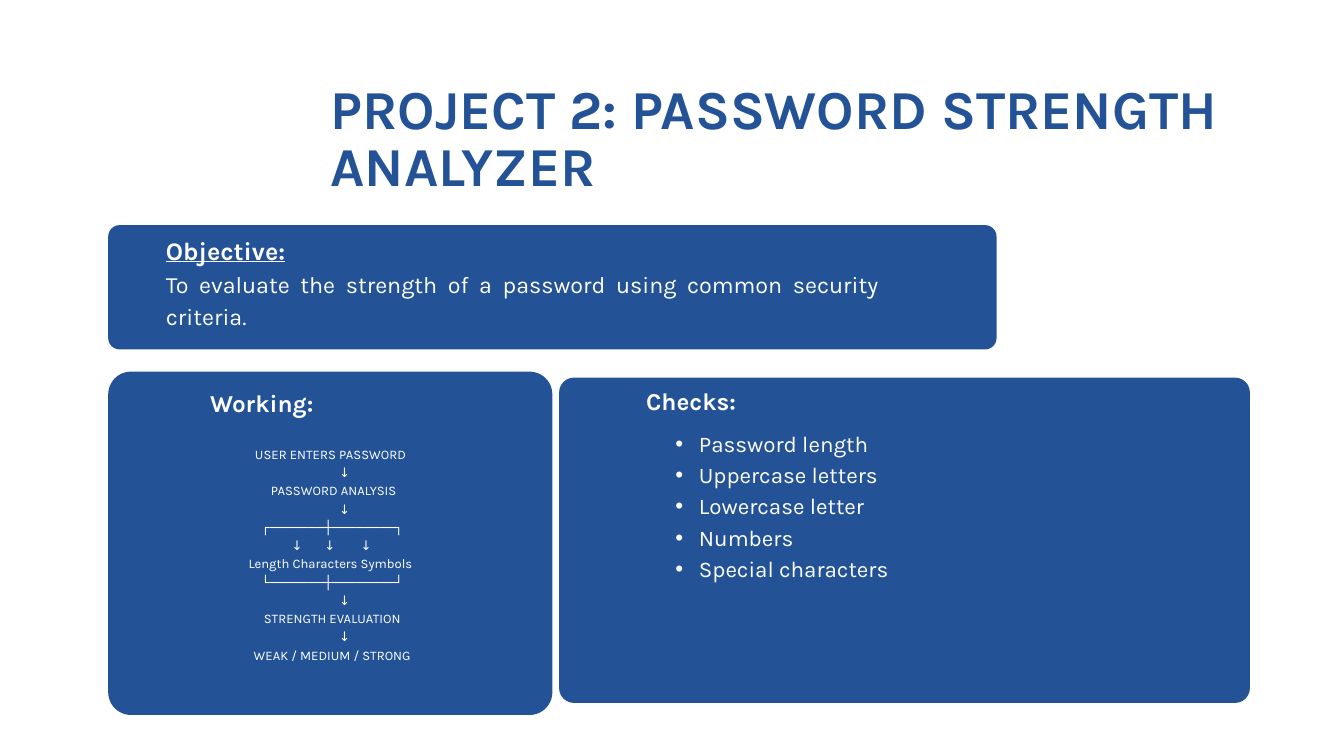
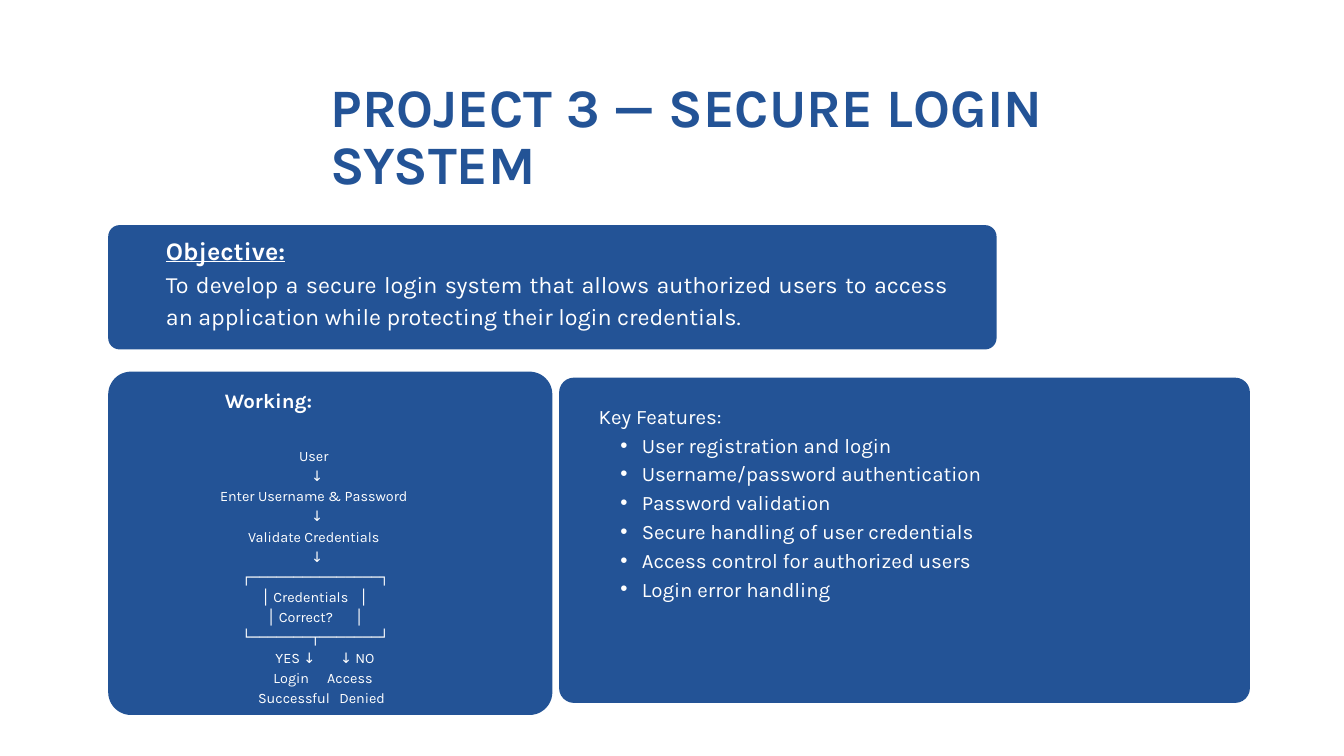
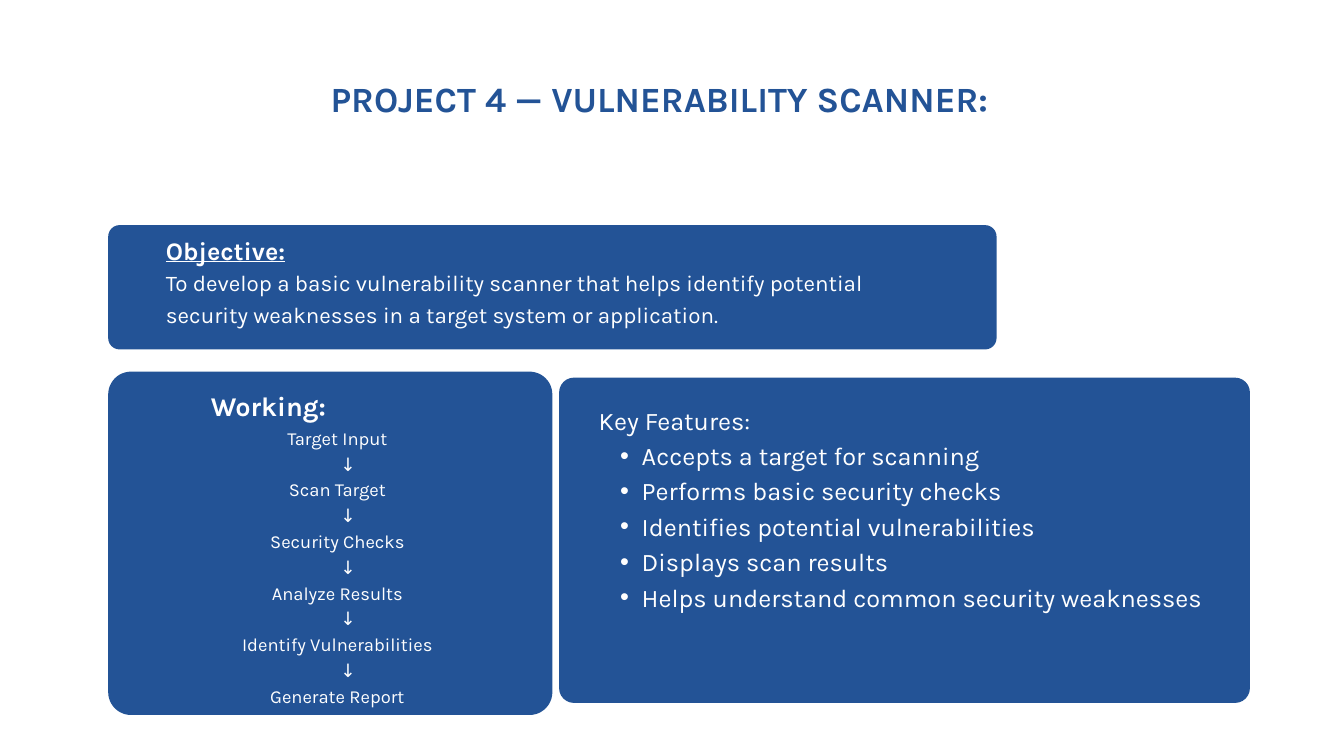
from dataclasses import dataclass

from lxml.etree import SubElement
from pptx import Presentation
from pptx.dml.color import RGBColor
from pptx.enum.shapes import MSO_SHAPE as Shape
from pptx.enum.text import PP_ALIGN as Align
from pptx.oxml.ns import qn
from pptx.util import Inches, Pt


@dataclass(frozen=True)
class Theme:
    blue: RGBColor = RGBColor(0x23, 0x53, 0x96)
    white: RGBColor = RGBColor(0xFF, 0xFF, 0xFF)
    font: str = "Karla"
    tight: float = 1.05
    loose: float = 1.4
    goal: float = 27
    title: tuple = (58.8, 58, 38)
    body: tuple = (25, 25, 24)
    head: tuple = (26, 22, 29)
    flow: tuple = (14, 15.4, 19.7)
    points: tuple = (24, 22, 27.1)


@dataclass(frozen=True)
class Line:
    text: str
    shift: float = 0
    stops: tuple = ()
    mode: str = "l"


CARDS = (
    ((1.61, 3.35, 13.22, 1.85), 0.17),
    ((1.61, 5.53, 6.61, 5.11), 0.34),
    ((8.32, 5.62, 10.28, 4.84), 0.22),
)


class Deck:
    def __init__(self, theme):
        self.theme = theme
        self.show = Presentation()
        self.show.slide_width = Inches(20)
        self.show.slide_height = Inches(11.25)
        self.slide = None
        self.num = -1

    def start(self):
        self.slide = self.show.slides.add_slide(self.show.slide_layouts[6])
        self.num += 1
        for area, curve in CARDS:
            self.card(area, curve)

    def size(self, role):
        return getattr(self.theme, role)[self.num]

    def card(self, area, curve):
        card = self.slide.shapes.add_shape(
            Shape.ROUNDED_RECTANGLE, *map(Inches, area))
        card.adjustments[0] = curve / min(area[2:])
        card.shadow.inherit = False
        card.fill.solid()
        card.fill.fore_color.rgb = self.theme.blue
        card.line.fill.background()

    def frame(self, area):
        frame = self.slide.shapes.add_textbox(*map(Inches, area)).text_frame
        frame.word_wrap = True
        for side in ("left", "top", "right", "bottom"):
            setattr(frame, f"margin_{side}", 0)
        return frame

    def text(self, frame, words, size, align=Align.LEFT, space=None, color=None, **style):
        first = frame.paragraphs[0]
        para = frame.add_paragraph() if first.runs else first
        para.alignment = align
        para.line_spacing = Pt(round(size * (space or self.theme.loose), 1))
        run = para.add_run()
        run.text = words
        run.font.color.rgb = color or self.theme.white
        look = {"name": self.theme.font, "size": Pt(size), **style}
        for name, value in look.items():
            setattr(run.font, name, value)
        return para

    def title(self, words, width, top=1.22):
        frame = self.frame((4.92, top, width, 2.54))
        self.text(frame, words, self.size("title"), space=self.theme.tight,
                  color=self.theme.blue, bold=True)

    def goal(self, words, width, align=Align.JUSTIFY):
        frame = self.frame((2.47, 3.42, width, 1.78))
        self.text(frame, "Objective:", self.theme.goal, bold=True, underline=True)
        self.text(frame, words, self.size("body"), align)

    def head(self, words, area):
        self.text(self.frame(area), words, self.size("head"), Align.CENTER, bold=True)

    def flow(self, area, lines):
        frame = self.frame(area)
        for line in lines:
            align = Align.LEFT if line.stops else Align.CENTER
            para = self.text(frame, line.text, self.size("flow"), align)
            props = para._p.get_or_add_pPr()
            if line.shift:
                props.set("marL", str(Inches(line.shift)))
            if line.stops:
                tabs = SubElement(props, qn("a:tabLst"))
                for stop in line.stops:
                    SubElement(tabs, qn("a:tab"), pos=str(Inches(stop)), algn=line.mode)

    def points(self, area, items, hang, head=None):
        frame = self.frame(area)
        size = self.size("points")
        if head:
            self.text(frame, head, size)
        for item in items:
            para = self.text(frame, item, size)
            para.level = 1
            props = para._p.get_or_add_pPr()
            props.set("marL", str(Inches(2 * hang)))
            props.set("indent", str(-Inches(hang)))
            SubElement(props, qn("a:buFont"), typeface="Arial")
            SubElement(props, qn("a:buChar"), char="•")


def chain(steps, shift):
    lines = [Line(steps[0])]
    for step in steps[1:]:
        lines += [Line("↓", shift), Line(step)]
    return lines


def strength(deck):
    deck.start()
    deck.title("PROJECT 2: PASSWORD STRENGTH ANALYZER", 13.68, 1.23)
    deck.goal("To evaluate the strength of a password using common security "
              "criteria.", 10.6)
    down = Line("↓", 0.42)
    deck.flow((0.77, 6.6, 8.3, 3.79), (
        Line("USER ENTERS PASSWORD"),
        down,
        Line("PASSWORD ANALYSIS", 0.09),
        down,
        Line("┌───────┼────────┐", 0.05),
        Line("\t↓\t↓\t↓", stops=(3.65, 4.14, 4.68), mode="ctr"),
        Line("Length Characters Symbols"),
        Line("└───────┼────────┘", 0.05),
        down,
        Line("STRENGTH EVALUATION", 0.05),
        down,
        Line("WEAK / MEDIUM / STRONG", 0.05),
    ))
    deck.points((9.7, 6.33, 4.41, 3.48), (
        "Password length",
        "Uppercase letters",
        "Lowercase letter",
        "Numbers",
        "Special characters",
    ), 0.35)
    deck.head("Working:", (2.8, 5.7, 2.19, 0.69))
    deck.head("Checks:", (9.28, 5.67, 2.01, 0.72))


def login(deck):
    deck.start()
    deck.title("PROJECT 3 — SECURE LOGIN SYSTEM", 11.62)
    deck.goal("To develop a secure login system that allows authorized users to "
              "access an application while protecting their login credentials.", 11.63)
    steps = ("User", "Enter Username & Password", "Validate Credentials")
    deck.flow((0.77, 6.61, 7.8, 3.86), (
        *chain(steps, 0.1),
        Line("↓", 0.1),
        Line("┌───────────────┐", 0.05),
        Line("\t│ Credentials\t│", stops=(3.12, 4.58)),
        Line("\t│ Correct?\t│", stops=(3.2, 4.51)),
        Line("└───────┬───────┘", 0.05),
        Line("\tYES ↓\t↓ NO", stops=(3.33, 4.29)),
        Line("\tLogin\tAccess", stops=(3.3, 4.1)),
        Line("\tSuccessful\tDenied", stops=(3.07, 4.28)),
    ))
    deck.head("Working:", (2.8, 5.71, 2.39, 0.54))
    deck.points((8.91, 5.95, 7.11, 3.63), (
        "User registration and login",
        "Username/password authentication",
        "Password validation",
        "Secure handling of user credentials",
        "Access control for authorized users",
        "Login error handling",
    ), 0.32, "Key Features:")


def scanner(deck):
    deck.start()
    deck.title("PROJECT 4 — VULNERABILITY SCANNER:", 11.62)
    deck.goal("To develop a basic vulnerability scanner that helps identify potential "
              "security weaknesses in a target system or application.",
              11.63, Align.LEFT)
    deck.flow((0.04, 6.3, 9.96, 4.16), chain((
        "Target Input",
        "Scan Target",
        "Security Checks",
        "Analyze Results",
        "Identify Vulnerabilities",
        "Generate Report",
    ), 0.32))
    deck.head("Working:", (2.8, 5.71, 2.39, 0.54))
    deck.points((8.91, 5.95, 9.36, 4.15), (
        "Accepts a target for scanning",
        "Performs basic security checks",
        "Identifies potential vulnerabilities",
        "Displays scan results",
        "Helps understand common security weaknesses",
    ), 0.32, "Key Features:")


def main():
    deck = Deck(Theme())
    for build in (strength, login, scanner):
        build(deck)
    deck.show.save("out.pptx")


if __name__ == "__main__":
    main()
